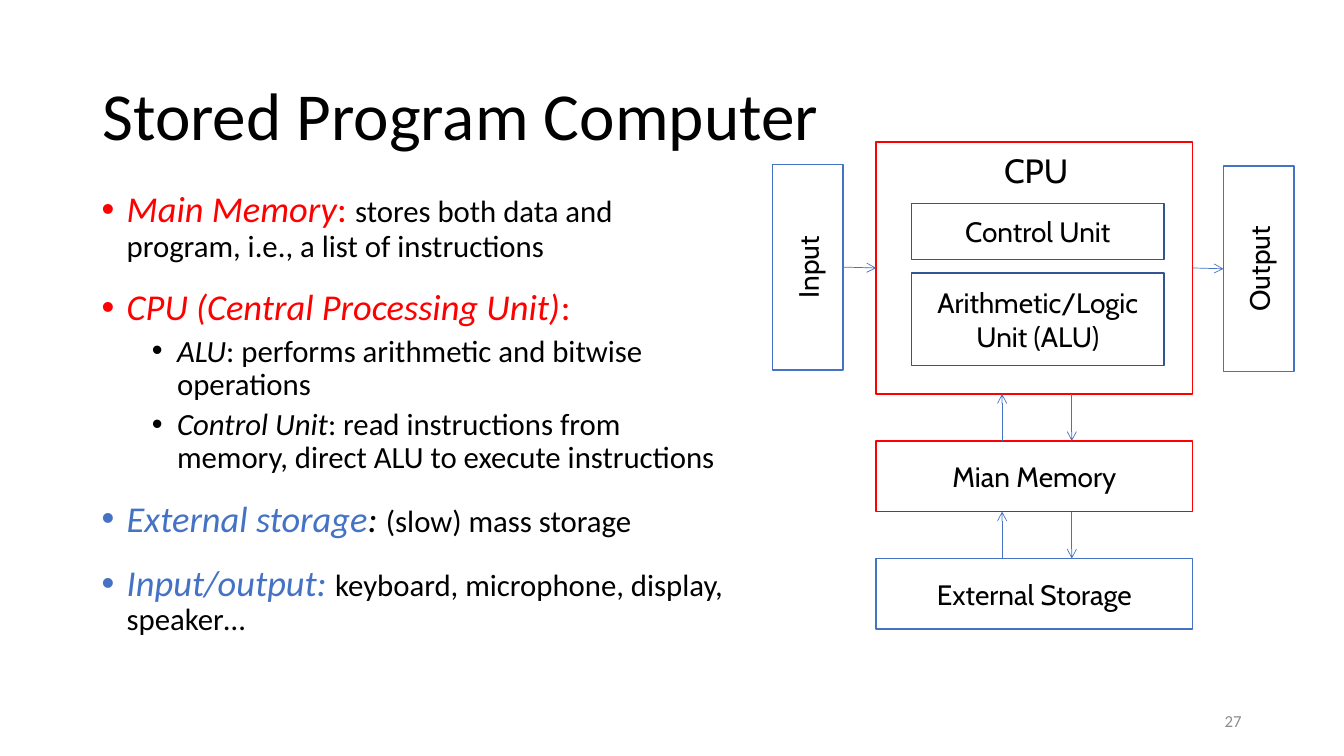
from dataclasses import dataclass

import pptx
import pptx.dml.color
import pptx.enum.shapes
import pptx.enum.text
import pptx.oxml.ns
import pptx.util
from lxml import etree
from pptx.shapes.autoshape import Shape
from pptx.shapes.connector import Connector

COLOURS = {"black": "000000", "white": "FFFFFF", "red": "FF0000",
           "blue": "4472C4", "navy": "325491", "grey": "8C8C8C"}
COLUMNS, ROWS = 160, 90
ALIGN = pptx.enum.text.PP_ALIGN
ANCHOR = pptx.enum.text.MSO_ANCHOR
TOP, LEFT, BOTTOM, RIGHT = range(4)

deck = pptx.Presentation()
deck.slide_width = pptx.util.Inches(13.33)
deck.slide_height = pptx.util.Inches(7.5)
slide = deck.slides.add_slide(deck.slide_layouts[6])


@dataclass(frozen=True)
class Area:
    """A place on the grid, in columns and rows."""
    column: float
    row: float
    columns: float
    rows: float


@dataclass(frozen=True)
class Words:
    text: str
    size: float
    colour: str = "black"
    italic: bool = False
    font: str = "Calibri"


@dataclass(frozen=True)
class Bullet:
    words: tuple[Words, ...]
    indent: float = 0.25
    level: int = 0
    space_before: float = 18


@dataclass(frozen=True)
class Unit:
    """A block of the computer diagram."""
    label: str
    area: Area
    outline: str
    rotation: float = 0


def across(columns: float) -> int:
    return round(deck.slide_width * columns / COLUMNS)


def down(rows: float) -> int:
    return round(deck.slide_height * rows / ROWS)


def place(area: Area) -> tuple[int, int, int, int]:
    return across(area.column), down(area.row), across(area.columns), down(area.rows)


def rgb(colour: str) -> pptx.dml.color.RGBColor:
    return pptx.dml.color.RGBColor.from_string(COLOURS[colour])


def add_words(paragraph, words: Words) -> None:
    run = paragraph.add_run()
    run.text = words.text
    run.font.size = pptx.util.Pt(words.size)
    run.font.name = words.font
    run.font.italic = words.italic
    run.font.color.rgb = rgb(words.colour)


def add_line_of_text(area: Area, words: Words, align, anchor) -> Shape:
    box = slide.shapes.add_textbox(*place(area))
    box.text_frame.word_wrap = True
    box.text_frame.vertical_anchor = anchor
    paragraph = box.text_frame.paragraphs[0]
    paragraph.alignment = align
    add_words(paragraph, words)
    return box


def add_bullets(area: Area, bullets: list[Bullet]) -> None:
    frame = slide.shapes.add_textbox(*place(area)).text_frame
    frame.word_wrap = True
    for position, bullet in enumerate(bullets):
        paragraph = frame.add_paragraph() if position else frame.paragraphs[0]
        properties = paragraph._p.get_or_add_pPr()
        properties.set("marL", str(pptx.util.Inches(bullet.indent)))
        properties.set("indent", str(pptx.util.Inches(-0.25)))
        etree.SubElement(properties, pptx.oxml.ns.qn("a:buFont"), typeface="Arial")
        etree.SubElement(properties, pptx.oxml.ns.qn("a:buChar"), char="•")
        paragraph.level = bullet.level
        paragraph.line_spacing = 0.9
        paragraph.space_before = pptx.util.Pt(bullet.space_before if position else 0)
        for words in bullet.words:
            add_words(paragraph, words)


def add_unit(unit: Unit) -> Shape:
    block = slide.shapes.add_shape(
        pptx.enum.shapes.MSO_SHAPE.RECTANGLE, *place(unit.area))
    block.shadow.inherit = False
    block.rotation = unit.rotation
    block.fill.solid()
    block.fill.fore_color.rgb = rgb("white")
    block.line.color.rgb = rgb(unit.outline)
    block.line.width = pptx.util.Pt(1)
    if unit.label:
        block.text_frame.word_wrap = True
        block.text_frame.vertical_anchor = ANCHOR.MIDDLE
        paragraph = block.text_frame.paragraphs[0]
        paragraph.alignment = ALIGN.CENTER
        add_words(paragraph, Words(unit.label, 20, font="Cabin"))
    return block


def add_arrow(start: tuple[float, float], end: tuple[float, float]) -> Connector:
    arrow = slide.shapes.add_connector(
        pptx.enum.shapes.MSO_CONNECTOR.STRAIGHT,
        across(start[0]), down(start[1]), across(end[0]), down(end[1]))
    arrow.line.color.rgb = rgb("blue")
    arrow.line.width = pptx.util.Pt(0.5)
    etree.SubElement(arrow.line._get_or_add_ln(),
                     pptx.oxml.ns.qn("a:tailEnd"), type="arrow")
    etree.SubElement(arrow._element.spPr, pptx.oxml.ns.qn("a:effectLst"))
    return arrow


def main() -> None:
    stack_column, stack_columns, store_rows, gap = 104.3, 37.7, 8.4, 5.6
    cpu_area = Area(stack_column, 16.9, stack_columns, 30)
    cpu_bottom = cpu_area.row + cpu_area.rows
    memory_row = cpu_bottom + gap
    memory_bottom = memory_row + store_rows
    storage_row = memory_bottom + gap

    cpu = add_unit(Unit("", cpu_area, "red"))
    add_line_of_text(Area(11, 4.8, 138, 17.4), Words("Stored Program Computer", 48),
                     ALIGN.LEFT, ANCHOR.MIDDLE)
    add_bullets(Area(10.9, 22.2, 77.2, 62.4), [
        Bullet((Words("Main Memory", 26, "red", True), Words(": ", 26, "red"),
                Words("stores both data and program, i.e., a list of instructions", 22))),
        Bullet((Words("CPU (Central Processing Unit)", 26, "red", True),
                Words(":", 26, "red"))),
        Bullet((Words("ALU", 22, italic=True),
                Words(": performs arithmetic and bitwise operations", 22)), 0.75, 1, 5),
        Bullet((Words("Control Unit", 22, italic=True),
                Words(": read instructions from memory, direct ALU to execute "
                      "instructions", 22)), 0.75, 1, 5),
        Bullet((Words("External storage", 26, "blue", True),
                Words(": ", 26, italic=True), Words("(slow) mass storage", 22))),
        Bullet((Words("Input/output: ", 26, "blue", True),
                Words("keyboard, microphone, display, speaker…", 22))),
    ])
    add_line_of_text(Area(113, 83.4, 36, 4.8), Words("27", 12, "grey"),
                     ALIGN.RIGHT, ANCHOR.MIDDLE)

    add_unit(Unit("Control Unit", Area(108.5, 24.2, 30.1, 6.7), "navy"))
    add_unit(Unit("Arithmetic/Logic Unit (ALU)", Area(108.5, 32.5, 30.1, 11), "navy"))
    add_line_of_text(Area(106.9, 17.3, 32.9, 6), Words("CPU", 24, font="Cabin"),
                     ALIGN.CENTER, ANCHOR.TOP)
    for label, row, outline in (("Mian Memory", memory_row, "red"),
                                ("External Storage", storage_row, "blue")):
        add_unit(Unit(label, Area(stack_column, row, stack_columns, store_rows), outline))
    source = add_unit(Unit("Input", Area(83.9, 27.6, 24.5, 8.4), "blue", 270))
    sink = add_unit(Unit("Output", Area(137.6, 27.8, 24.5, 8.4), "blue", 270))

    # Sites turn with a rotated block: its bottom faces right, its top faces left.
    middle = cpu_area.row + cpu_area.rows / 2
    feed = add_arrow((100.35, 31.8), (stack_column, middle))
    feed.begin_connect(source, BOTTOM)
    feed.begin_x, feed.begin_y = across(100.35), down(31.8)
    feed.end_connect(cpu, LEFT)
    result = add_arrow((stack_column + stack_columns, middle), (145.65, 32))
    result.begin_connect(cpu, RIGHT)
    result.end_connect(sink, TOP)
    result.end_x, result.end_y = across(145.65), down(32)

    for upper, lower in ((cpu_bottom, memory_row), (memory_bottom, storage_row)):
        add_arrow((119.3, lower), (119.3, upper))
        add_arrow((127.6, upper), (127.6, lower))

    deck.save("out.pptx")


if __name__ == "__main__":
    main()
